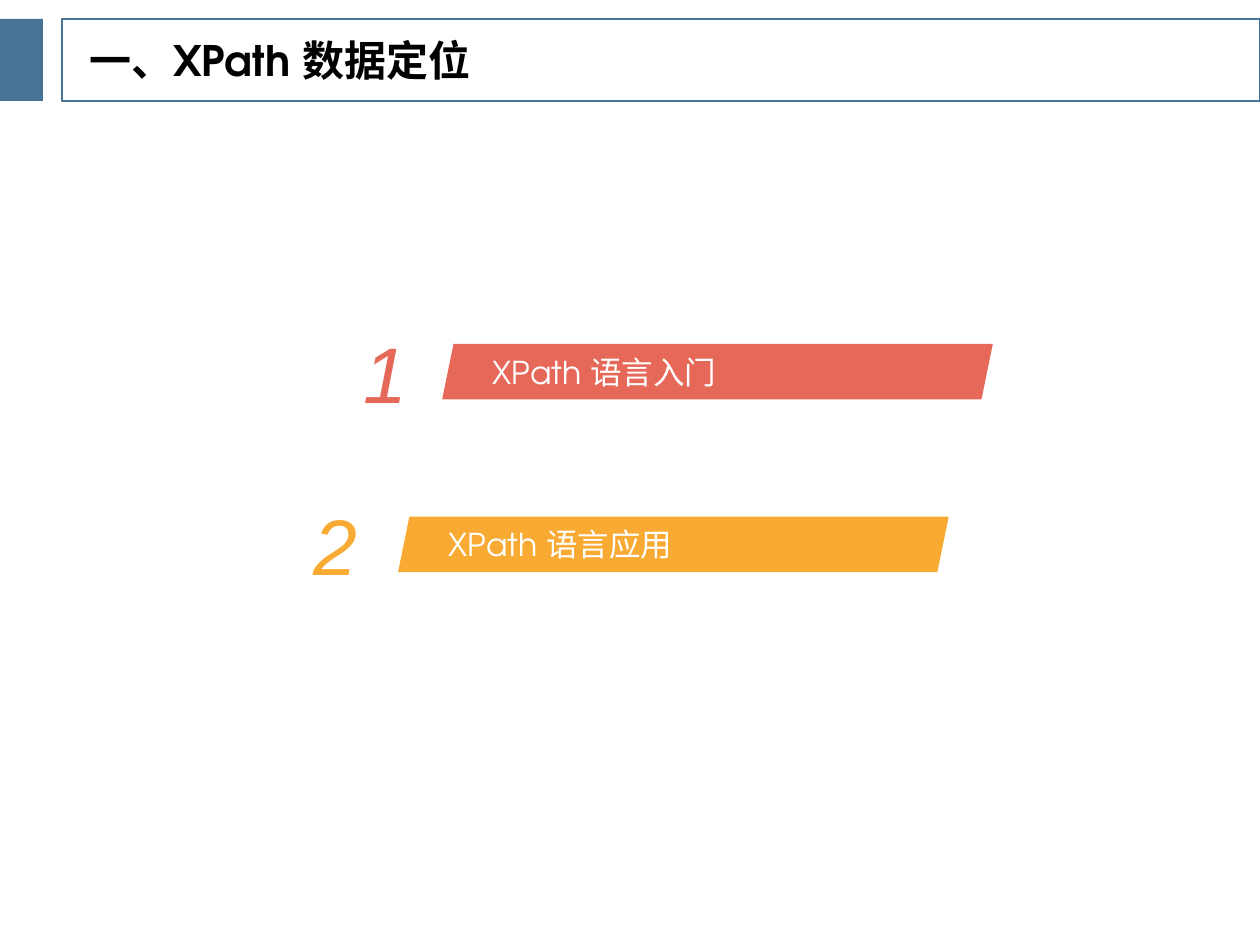
from dataclasses import dataclass

from pptx import Presentation
from pptx import util as u
from pptx.dml.color import RGBColor
from pptx.enum import shapes, text
from pptx.util import Inches


@dataclass(frozen=True)
class Theme:
    blue: str = "467396"
    red: str = "E66858"
    amber: str = "F9AA33"
    black: str = "000000"
    white: str = "FFFFFF"
    font: str = "TeX Gyre Adventor"
    number_font: str = "Arial"
    title_size: int = 24
    item_size: int = 18
    number_size: int = 45


THEME = Theme()


def add_block(page, kind, left, top, width, height, fill=None, line=None):
    block = page.shapes.add_shape(
        kind, Inches(left), Inches(top), Inches(width), Inches(height))
    block.shadow.inherit = False
    if fill:
        block.fill.solid()
        block.fill.fore_color.rgb = RGBColor.from_string(fill)
    else:
        block.fill.background()
    if line:
        block.line.color.rgb = RGBColor.from_string(line)
        block.line.width = u.Pt(1)
    else:
        block.line.fill.background()
    return block


def add_text_box(page, left, top, width, height):
    return page.shapes.add_textbox(
        Inches(left), Inches(top), Inches(width), Inches(height))


def write(box, words, *, size, color, font=THEME.font, bold=False, italic=False,
          align=text.PP_ALIGN.LEFT, spacing=None, inset=(0, 0)):
    """Fill a shape with one paragraph; inset is (horizontal, vertical) inches."""
    frame = box.text_frame
    frame.word_wrap = True
    frame.vertical_anchor = text.MSO_ANCHOR.MIDDLE
    frame.margin_left = frame.margin_right = Inches(inset[0])
    frame.margin_top = frame.margin_bottom = Inches(inset[1])
    para = frame.paragraphs[0]
    para.alignment = align
    if spacing:
        para.line_spacing = spacing
    span = para.add_run()
    span.text = words
    span.font.name = font
    span.font.size = u.Pt(size)
    span.font.bold = bold
    span.font.italic = italic
    span.font.color.rgb = RGBColor.from_string(color)


def add_header(page, title, left, top, width, height):
    """Blue tab, outlined band and title across the given box."""
    rectangle = shapes.MSO_SHAPE.RECTANGLE
    band_offset = 0.49
    add_block(page, rectangle, left, top, 0.34, height, fill=THEME.blue)
    add_block(page, rectangle, left + band_offset, top, width - band_offset,
              height, line=THEME.blue)
    box = add_text_box(page, left + 0.61, top + 0.09, 3.51, 0.51)
    write(box, title, size=THEME.title_size, color=THEME.black, bold=True,
          spacing=0.9, inset=(0.1, 0.05))


def add_agenda_item(page, number, words, color, left, top, width, height,
                    number_gap):
    """Slanted bar in the given box, its number number_gap left of the bar."""
    bar = add_block(page, shapes.MSO_SHAPE.PARALLELOGRAM, left, top, width,
                    height, fill=color)
    bar.adjustments[0] = 0.204
    write(bar, words, size=THEME.item_size, color=THEME.white,
          align=text.PP_ALIGN.JUSTIFY)
    number_width, number_height = 1, 1.31
    box = add_text_box(page, left - number_gap - number_width,
                       top + (height - number_height) / 2,
                       number_width, number_height)
    write(box, str(number), size=THEME.number_size, color=color,
          font=THEME.number_font, italic=True, align=text.PP_ALIGN.CENTER)


def add_agenda(page, items, left, top):
    """Stack the items from the given corner, each one stepping to the left."""
    step_left, step_down = 0.35, 1.37
    for index, (words, color, number_gap) in enumerate(items):
        add_agenda_item(page, index + 1, words, color,
                        left - index * step_left, top + index * step_down,
                        4.37, 0.44, number_gap)


def main():
    deck = Presentation()
    deck.slide_width, deck.slide_height = Inches(10), Inches(7.5)
    page = deck.slides.add_slide(deck.slide_layouts[6])
    add_header(page, "一、XPath 数据定位", 0, 0.15, 10, 0.65)
    add_agenda(page, [
        ("XPath 语言入门", THEME.red, -0.05),
        ("XPath 语言应用", THEME.amber, 0),
    ], 3.51, 2.73)
    deck.save("out.pptx")


if __name__ == "__main__":
    main()
